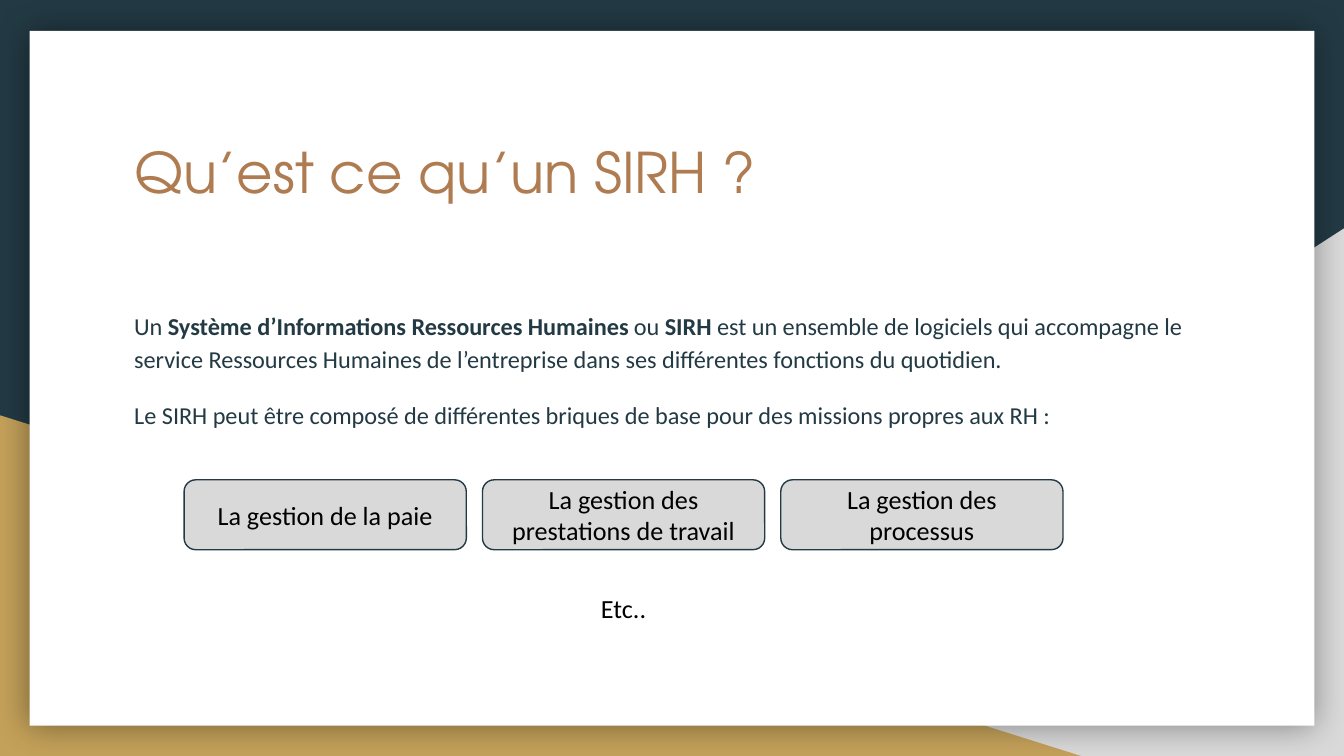
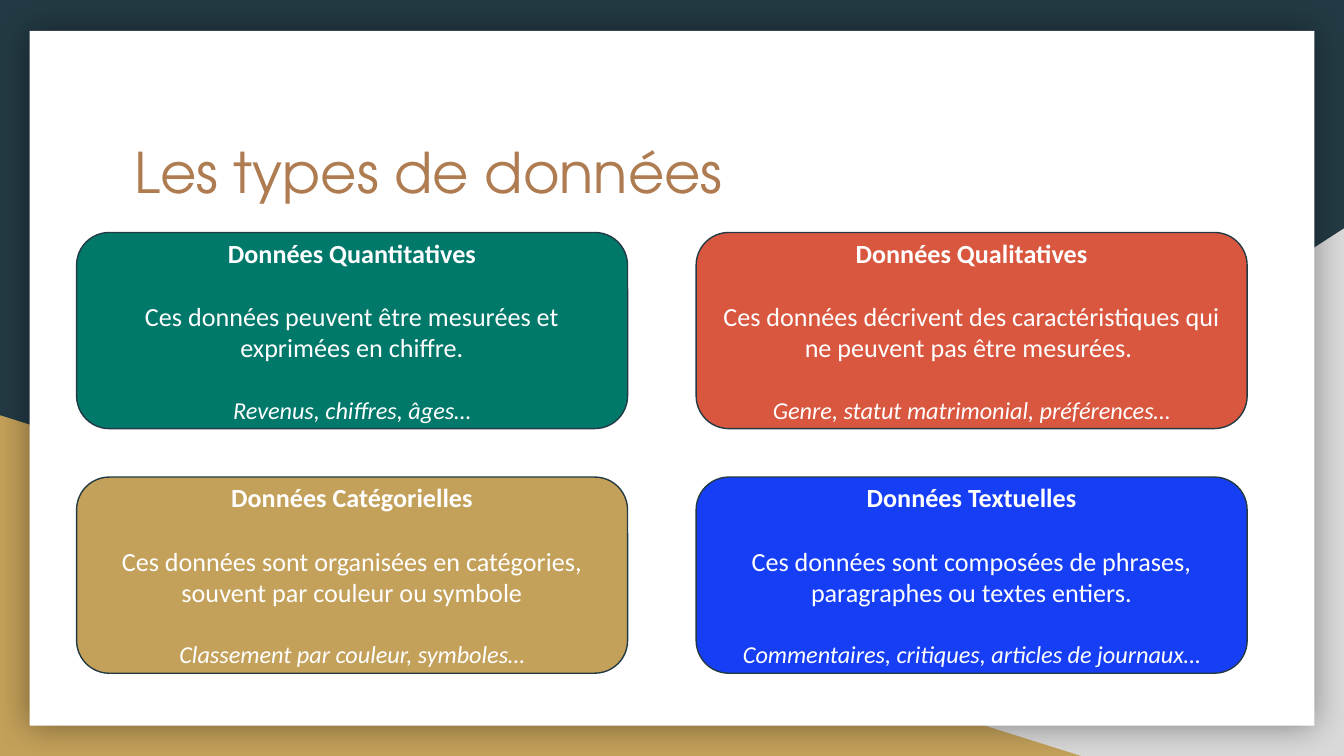
from dataclasses import dataclass
from typing import NamedTuple

import lxml.etree
import pptx
import pptx.dml.color
import pptx.enum.shapes
import pptx.enum.text
import pptx.oxml.ns
import pptx.presentation
import pptx.shapes.autoshape
import pptx.slide
import pptx.text.text
import pptx.util
from pptx.util import Inches

COLORS = {
    "navy": "233A44",
    "gold": "C4A15A",
    "grey": "D9D9D9",
    "copper": "AF7B51",
    "green": "00796B",
    "coral": "D9563F",
    "blue": "163EF5",
    "white": "FFFFFF",
    "black": "000000",
}
TITLE_FONT = "TeX Gyre Adventor"
BODY_FONT = "Calibri"
TITLE_ONLY = 5
SLIDE_WIDTH = 10
SLIDE_HEIGHT = SLIDE_WIDTH * 9 / 16
INSET = 0.1
BLANK_LINE = 17.1  # points, the height of one line of 14 pt text

ALIGN = pptx.enum.text.PP_ALIGN
ANCHOR = pptx.enum.text.MSO_ANCHOR
PRESET = pptx.enum.shapes.MSO_SHAPE


class Box(NamedTuple):
    left: float
    top: float
    width: float
    height: float

    def lengths(self) -> list[pptx.util.Length]:
        return [Inches(value) for value in self]


@dataclass(frozen=True)
class Run:
    text: str
    size: float = 14
    bold: bool = False
    italic: bool = False
    font: str = BODY_FONT


@dataclass(frozen=True)
class Paragraph:
    runs: list[Run]
    before: float = 0
    after: float = 0
    spacing: float = 1.0


@dataclass(frozen=True)
class DataType:
    name: str
    description: str
    examples: str
    color: str


TITLE_BOX = Box(0.9, 0.92, 8.21, 1.04)
DEFINITION_BOX = Box(0.9, 2.18, 8.21, 2.68)

DEFINITION = [
    Paragraph([
        Run("Un ", 13),
        Run("Système d’Informations Ressources Humaines", 13, bold=True),
        Run(" ou ", 13),
        Run("SIRH", 13, bold=True),
        Run(" est un ensemble de logiciels qui accompagne le service Ressources "
            "Humaines de l’entreprise dans ses différentes fonctions du quotidien.", 13),
    ], spacing=1.15),
    Paragraph([
        Run("Le SIRH peut être composé de différentes briques de base pour des "
            "missions propres aux RH :", 13),
    ], before=12, after=12, spacing=1.15),
]

BRICKS = [
    "La gestion de la paie",
    "La gestion des prestations de travail",
    "La gestion des processus",
]
FIRST_BRICK = Box(1.37, 3.57, 2.1, 0.52)
BRICK_GAP = 0.12
ETC_BOX = Box(3.59, 4.31, 2.1, 0.44)

DATA_TYPES = [
    DataType("Données Quantitatives",
             "Ces données peuvent être mesurées et exprimées en chiffre.",
             "Revenus, chiffres, âges…", "green"),
    DataType("Données Qualitatives",
             "Ces données décrivent des caractéristiques qui ne peuvent pas être mesurées. ",
             "Genre, statut matrimonial, préférences…", "coral"),
    DataType("Données Catégorielles",
             "Ces données sont organisées en catégories, souvent par couleur ou symbole",
             "Classement par couleur, symboles…", "gold"),
    DataType("Données Textuelles",
             "Ces données sont composées de phrases, paragraphes ou textes entiers.",
             "Commentaires, critiques, articles de journaux…", "blue"),
]
FIRST_CARD = Box(0.57, 1.73, 4.1, 1.46)
CARD_GAP_X, CARD_GAP_Y = 0.51, 0.36


def rgb(color: str) -> pptx.dml.color.RGBColor:
    return pptx.dml.color.RGBColor.from_string(COLORS[color])


def write(frame: pptx.text.text.TextFrame, paragraphs: list[Paragraph], color: str,
          align: ALIGN = ALIGN.LEFT, anchor: ANCHOR = ANCHOR.TOP) -> None:
    frame.word_wrap = True
    frame.auto_size = pptx.enum.text.MSO_AUTO_SIZE.NONE
    frame.vertical_anchor = anchor
    frame.margin_left = frame.margin_right = Inches(INSET)
    frame.margin_top = frame.margin_bottom = Inches(INSET)
    for index, content in enumerate(paragraphs):
        paragraph = frame.add_paragraph() if index else frame.paragraphs[0]
        paragraph.alignment = align
        paragraph.line_spacing = content.spacing
        paragraph.space_before = pptx.util.Pt(content.before)
        paragraph.space_after = pptx.util.Pt(content.after)
        for part in content.runs:
            run = paragraph.add_run()
            run.text = part.text
            run.font.name = part.font
            run.font.size = pptx.util.Pt(part.size)
            run.font.bold = part.bold
            run.font.italic = part.italic
            run.font.color.rgb = rgb(color)


def add_filled(slide: pptx.slide.Slide, preset: PRESET, box: Box,
               fill: str) -> pptx.shapes.autoshape.Shape:
    """Add a flat shape without outline or shadow."""
    shape = slide.shapes.add_shape(preset, *box.lengths())
    shape.shadow.inherit = False
    shape.fill.solid()
    shape.fill.fore_color.rgb = rgb(fill)
    shape.line.fill.background()
    return shape


def add_rounded(slide: pptx.slide.Slide, box: Box, fill: str,
                paragraphs: list[Paragraph], text_color: str) -> None:
    """Add an outlined rounded box with centred text."""
    shape = add_filled(slide, PRESET.ROUNDED_RECTANGLE, box, fill)
    shape.line.color.rgb = rgb("navy")
    shape.line.width = pptx.util.Pt(0.75)
    write(shape.text_frame, paragraphs, text_color, ALIGN.CENTER, ANCHOR.MIDDLE)


def add_text(slide: pptx.slide.Slide, box: Box, paragraphs: list[Paragraph],
             color: str, align: ALIGN = ALIGN.LEFT) -> None:
    write(slide.shapes.add_textbox(*box.lengths()).text_frame, paragraphs, color, align)


def add_glow(shape: pptx.shapes.autoshape.Shape) -> None:
    """Give the shape a soft black shadow on all sides."""
    qn = pptx.oxml.ns.qn
    effects = shape.element.spPr.find(qn("a:effectLst"))
    shadow = lxml.etree.SubElement(effects, qn("a:outerShdw"),
                                   blurRad=str(pptx.util.Pt(18)), dist="0", dir="0",
                                   algn="ctr", rotWithShape="0")
    tint = lxml.etree.SubElement(shadow, qn("a:srgbClr"), val=COLORS["black"])
    lxml.etree.SubElement(tint, qn("a:alpha"), val="40000")


def dress_layout(layout: pptx.slide.SlideLayout, slide: pptx.slide.Slide) -> None:
    """Draw the backdrop on the slide, then move it to the layout all slides share."""
    layout.background.fill.solid()
    layout.background.fill.fore_color.rgb = rgb("navy")
    for placeholder in list(layout.placeholders):
        if placeholder.placeholder_format.type != pptx.enum.shapes.PP_PLACEHOLDER.TITLE:
            placeholder.element.getparent().remove(placeholder.element)

    grey_corner = add_filled(slide, PRESET.RIGHT_TRIANGLE, Box(3.92, 1.7, 6.08, 3.93), "grey")
    grey_corner.element.spPr.xfrm.set("flipH", "1")
    gold_corner = add_filled(slide, PRESET.RIGHT_TRIANGLE, Box(0, 3.09, 8.06, 2.54), "gold")
    page = add_filled(slide, PRESET.RECTANGLE, Box(0.22, 0.23, 9.56, 5.17), "white")
    add_glow(page)
    for position, part in enumerate((grey_corner, gold_corner, page), start=2):
        layout.element.cSld.spTree.insert(position, part.element)


def set_title(slide: pptx.slide.Slide, text: str) -> None:
    title = slide.shapes.title
    title.left, title.top, title.width, title.height = TITLE_BOX.lengths()
    write(title.text_frame, [Paragraph([Run(text, 30, font=TITLE_FONT)])], "copper")


def fill_definition(slide: pptx.slide.Slide) -> None:
    set_title(slide, "Qu’est ce qu’un SIRH ?")
    add_text(slide, DEFINITION_BOX, DEFINITION, "navy")
    for column, brick in enumerate(BRICKS):
        left = FIRST_BRICK.left + column * (FIRST_BRICK.width + BRICK_GAP)
        add_rounded(slide, FIRST_BRICK._replace(left=left), "grey",
                    [Paragraph([Run(brick)])], "black")
    add_text(slide, ETC_BOX, [Paragraph([Run("Etc..")])], "black", ALIGN.CENTER)


def fill_data_types(slide: pptx.slide.Slide) -> None:
    set_title(slide, "Les types de données")
    for index, data_type in enumerate(DATA_TYPES):
        row, column = divmod(index, 2)
        box = FIRST_CARD._replace(
            left=FIRST_CARD.left + column * (FIRST_CARD.width + CARD_GAP_X),
            top=FIRST_CARD.top + row * (FIRST_CARD.height + CARD_GAP_Y))
        add_rounded(slide, box, data_type.color, [
            Paragraph([Run(data_type.name, bold=True)]),
            Paragraph([Run(data_type.description)], before=BLANK_LINE),
            Paragraph([Run(data_type.examples, 13, italic=True)], before=BLANK_LINE),
        ], "white")


def main() -> None:
    deck = pptx.Presentation()
    deck.slide_width, deck.slide_height = Inches(SLIDE_WIDTH), Inches(SLIDE_HEIGHT)
    layout = deck.slide_layouts[TITLE_ONLY]
    definition = deck.slides.add_slide(layout)
    dress_layout(layout, definition)
    fill_definition(definition)
    fill_data_types(deck.slides.add_slide(layout))
    deck.save("out.pptx")


if __name__ == "__main__":
    main()
